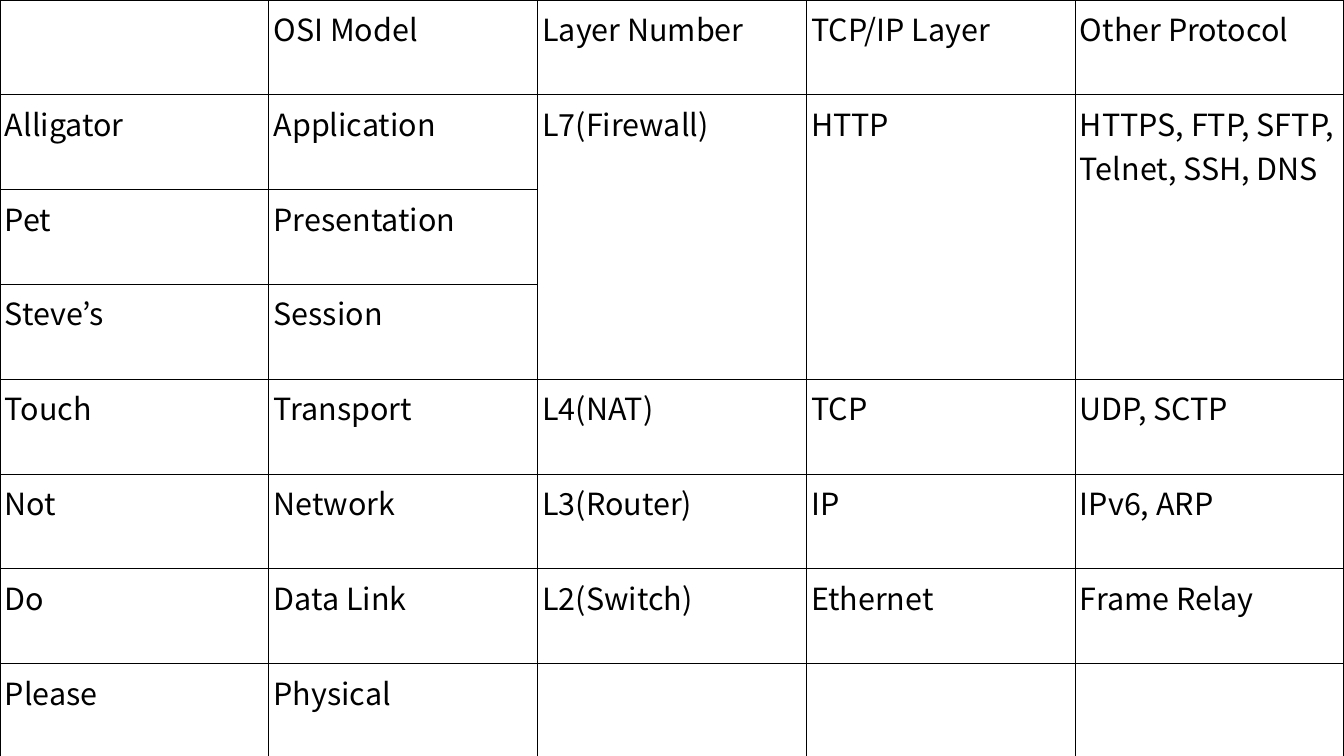
from lxml import etree
from pptx import Presentation
from pptx.dml.color import RGBColor
from pptx.oxml import ns
from pptx.util import Pt

BLACK = RGBColor(0x00, 0x00, 0x00)
WHITE = RGBColor(0xFF, 0xFF, 0xFF)
FONT = "Noto Sans CJK KR"
SLIDE_WIDTH, SLIDE_HEIGHT = Pt(793.5), Pt(446.4)
COLUMN_WIDTH, ROW_HEIGHT = Pt(158.7), Pt(56)
BORDER_WIDTH = Pt(0.57)

LAYERS = [
    ["", "OSI Model", "Layer Number", "TCP/IP Layer", "Other Protocol"],
    ["Alligator", "Application", "L7(Firewall)", "HTTP",
     "HTTPS, FTP, SFTP, Telnet, SSH, DNS"],
    ["Pet", "Presentation", "", "", ""],
    ["Steve’s", "Session", "", "", ""],
    ["Touch", "Transport", "L4(NAT)", "TCP", "UDP, SCTP"],
    ["Not", "Network", "L3(Router)", "IP", "IPv6, ARP"],
    ["Do", "Data Link", "L2(Switch)", "Ethernet", "Frame Relay"],
    ["Please", "Physical", "", "", ""],
]
FIRST_MERGED_ROW, LAST_MERGED_ROW = 1, 3
MERGED_COLUMNS = (2, 3, 4)


def add_borders(cell):
    properties = cell._tc.get_or_add_tcPr()
    for side in ("a:lnL", "a:lnR", "a:lnT", "a:lnB"):
        border = etree.SubElement(properties, ns.qn(side), w=str(BORDER_WIDTH))
        fill = etree.SubElement(border, ns.qn("a:solidFill"))
        etree.SubElement(fill, ns.qn("a:srgbClr"), val=str(BLACK))


def fill_cell(cell, label):
    add_borders(cell)
    cell.fill.solid()
    cell.fill.fore_color.rgb = WHITE
    cell.margin_left = cell.margin_right = Pt(2.9)
    cell.margin_top = cell.margin_bottom = Pt(3.6)
    cell.text = label
    font = cell.text_frame.paragraphs[0].font
    font.name = FONT
    font.size = Pt(18)
    font.color.rgb = BLACK


def add_layer_table(slide):
    row_count, column_count = len(LAYERS), len(LAYERS[0])
    table = slide.shapes.add_table(
        row_count, column_count, Pt(0), Pt(0),
        COLUMN_WIDTH * column_count, ROW_HEIGHT * row_count).table
    table.first_row = False
    table.horz_banding = False
    for column in table.columns:
        column.width = COLUMN_WIDTH
    for row, labels in zip(table.rows, LAYERS):
        row.height = ROW_HEIGHT
        for cell, label in zip(row.cells, labels):
            fill_cell(cell, label)
    for column in MERGED_COLUMNS:
        top = table.cell(FIRST_MERGED_ROW, column)
        top.merge(table.cell(LAST_MERGED_ROW, column))


def main():
    deck = Presentation()
    deck.slide_width, deck.slide_height = SLIDE_WIDTH, SLIDE_HEIGHT
    slide = deck.slides.add_slide(deck.slide_layouts[6])
    add_layer_table(slide)
    deck.save("out.pptx")


if __name__ == "__main__":
    main()
